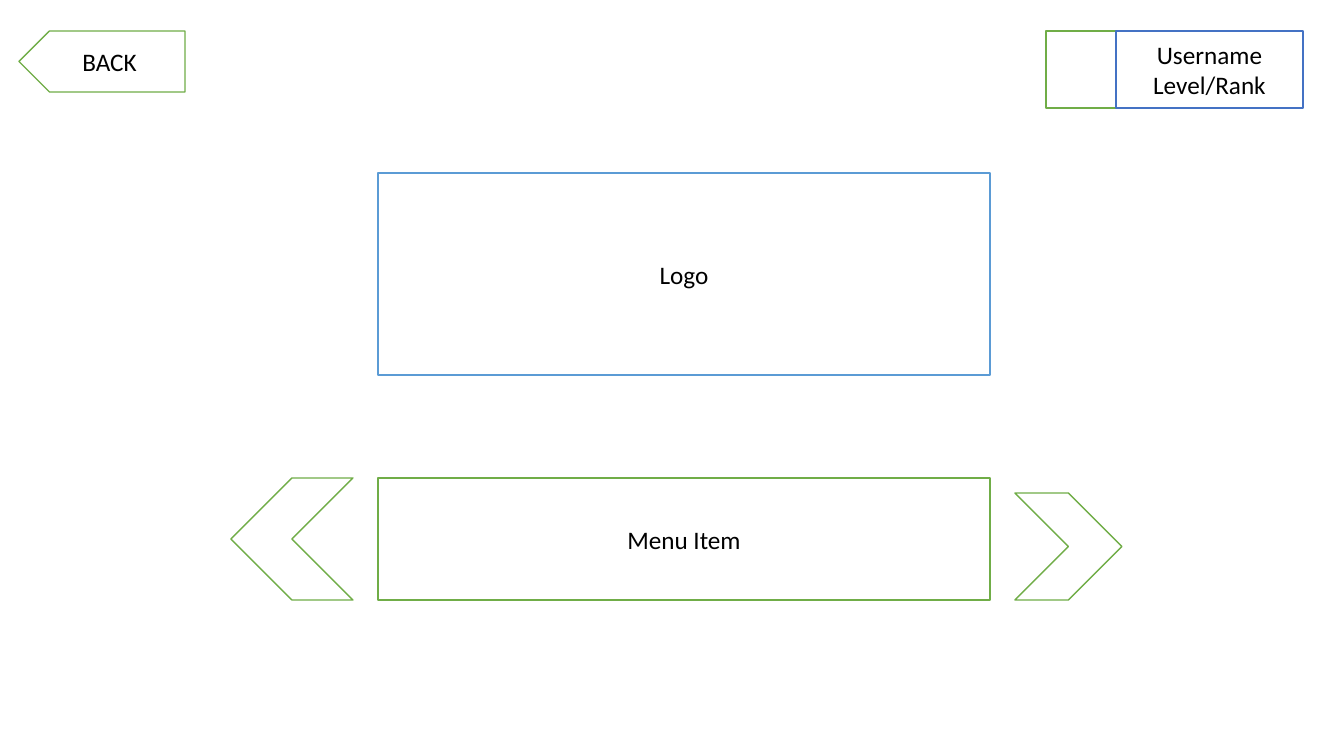
from pptx import Presentation
from pptx.dml.color import RGBColor
from pptx.enum.shapes import MSO_SHAPE as Preset
from pptx.enum.text import MSO_ANCHOR as Anchor, PP_ALIGN as Align
from pptx.util import Pt

EMU_PER_PIXEL = 914400 / 100.8
SLIDE_SIZE = (1344, 756)
WHITE, BLACK = "FFFFFF", "000000"
GREEN, SKY, BLUE = "70AD47", "5B9BD5", "4472C4"

# Shared edges of the menu screen
CENTRE_LEFT, CENTRE_WIDTH = 378, 612
MENU_TOP, MENU_HEIGHT = 478, 122
MENU_BOTTOM = MENU_TOP + MENU_HEIGHT
ARROW_GAP = 25
NEXT_SIZE = 107
HEADER_TOP, BADGE_HEIGHT = 31, 77
AVATAR_LEFT, AVATAR_WIDTH = 1046, 70

# preset, (left, top, width, height), outline, label, mirrored
CONTROLS = [
    (Preset.RECTANGLE, (CENTRE_LEFT, 173, CENTRE_WIDTH, 202), SKY, "Logo", False),
    (Preset.RECTANGLE, (CENTRE_LEFT, MENU_TOP, CENTRE_WIDTH, MENU_HEIGHT),
     GREEN, "Menu Item", False),
    (Preset.CHEVRON, (CENTRE_LEFT + CENTRE_WIDTH + ARROW_GAP,
                      MENU_BOTTOM - NEXT_SIZE, NEXT_SIZE, NEXT_SIZE),
     GREEN, "", False),
    (Preset.CHEVRON, (CENTRE_LEFT - ARROW_GAP - MENU_HEIGHT, MENU_TOP,
                      MENU_HEIGHT, MENU_HEIGHT), GREEN, "", True),
    (Preset.PENTAGON, (19, HEADER_TOP, 166, 61), GREEN, "BACK", True),
    (Preset.RECTANGLE, (AVATAR_LEFT, HEADER_TOP, AVATAR_WIDTH, BADGE_HEIGHT),
     GREEN, "", False),
    (Preset.RECTANGLE, (AVATAR_LEFT + AVATAR_WIDTH, HEADER_TOP, 187, BADGE_HEIGHT),
     BLUE, "Username\nLevel/Rank", False),
]


def px(pixels):
    """Convert pixels to EMU."""
    return round(pixels * EMU_PER_PIXEL)


def paint(color_format, hex_color):
    """Set a colour from a hex string."""
    color_format.rgb = RGBColor.from_string(hex_color)


def write_label(control, label):
    """Centre a label in a control; a newline becomes a line break."""
    frame = control.text_frame
    frame.word_wrap = True
    frame.vertical_anchor = Anchor.MIDDLE
    paragraph = frame.paragraphs[0]
    paragraph.text = label
    paragraph.alignment = Align.CENTER
    paragraph.font.name = "Calibri"
    paragraph.font.size = Pt(18)
    paint(paragraph.font.color, BLACK)


def add_control(slide, preset, box, outline, label, mirrored):
    """Add one outlined control to the screen."""
    control = slide.shapes.add_shape(preset, *map(px, box))
    control.shadow.inherit = False
    control.fill.solid()
    paint(control.fill.fore_color, WHITE)
    control.line.width = Pt(1)
    paint(control.line.color, outline)
    if mirrored:
        control.element.spPr.get_or_add_xfrm().set("flipH", "1")
    if label:
        write_label(control, label)


deck = Presentation()
deck.slide_width, deck.slide_height = map(px, SLIDE_SIZE)
menu_screen = deck.slides.add_slide(deck.slide_layouts[6])
for control_row in CONTROLS:
    add_control(menu_screen, *control_row)
deck.save("out.pptx")
